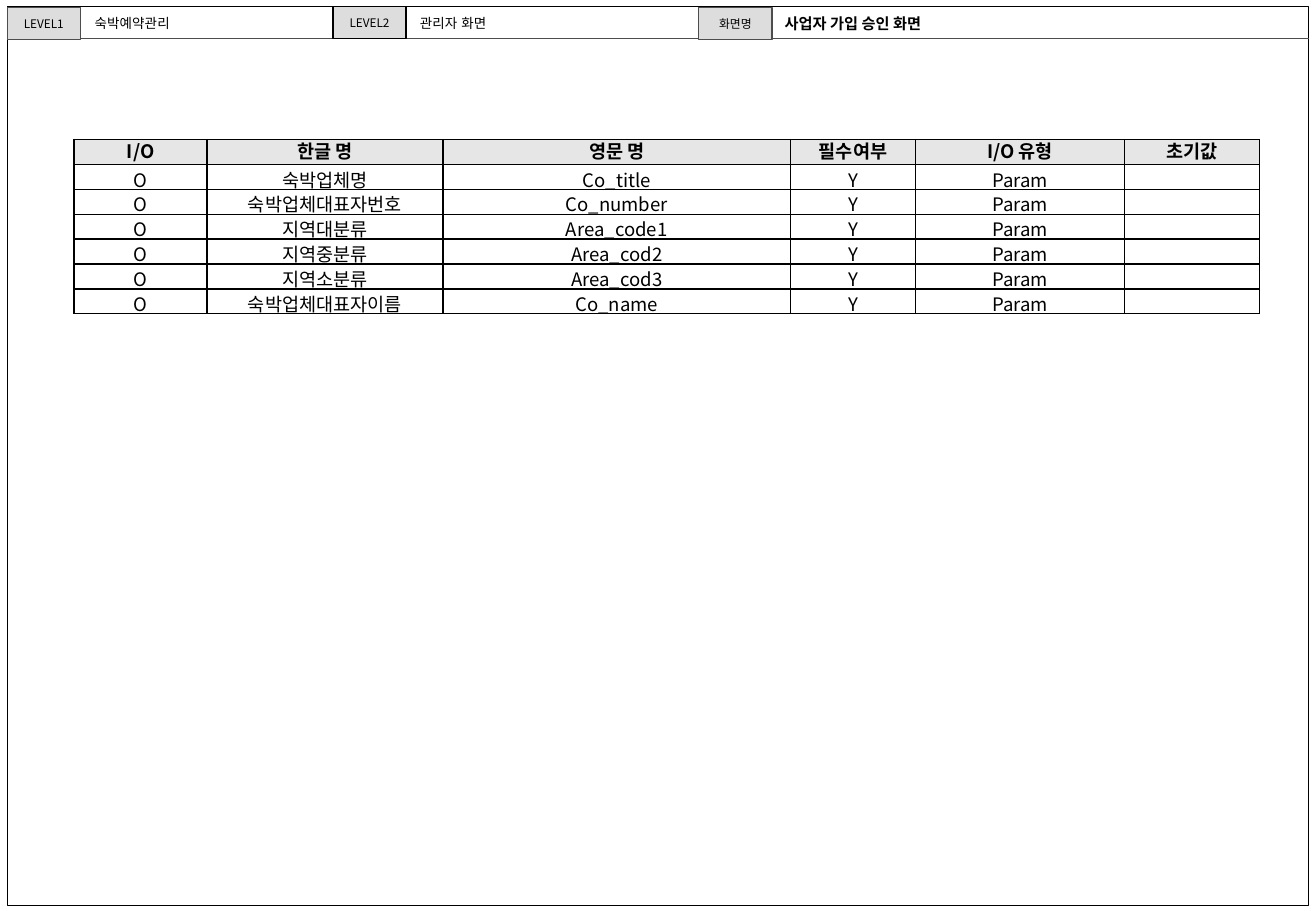
from lxml import etree
from pptx import Presentation
from pptx.dml.color import RGBColor
from pptx.enum.shapes import MSO_CONNECTOR, MSO_SHAPE
from pptx.enum.text import MSO_ANCHOR, MSO_AUTO_SIZE, PP_ALIGN
from pptx.oxml import parse_xml
from pptx.oxml.ns import nsdecls, qn
from pptx.util import Cm, Pt

BLACK = RGBColor(0x00, 0x00, 0x00)
DARK_GRAY = RGBColor(0x4D, 0x4D, 0x4D)
LABEL_GRAY = RGBColor(0xDD, 0xDD, 0xDD)
HEADER_GRAY = RGBColor(0xE6, 0xE6, 0xE6)
KOREAN_FONT = "Noto Sans CJK KR"


def write_text(frame, text, size, font=KOREAN_FONT, bold=False,
               align=PP_ALIGN.LEFT, line_spacing=None):
    """Fill the first paragraph, using one font for Latin and Korean letters."""
    paragraph = frame.paragraphs[0]
    paragraph.alignment = align
    paragraph.line_spacing = line_spacing
    run = paragraph.add_run()
    run.text = text
    run.font.name = font
    run.font.size = Pt(size)
    run.font.bold = bold
    run.font.color.rgb = BLACK
    korean = etree.SubElement(run.font._element, qn("a:ea"))
    korean.set("typeface", font)


def add_borders(cell):
    properties = cell._tc.get_or_add_tcPr()
    for index, side in enumerate(("lnL", "lnR", "lnT", "lnB")):
        properties.insert(index, parse_xml(
            f'<a:{side} {nsdecls("a")} w="{Pt(1)}"><a:solidFill>'
            f'<a:srgbClr val="{BLACK}"/></a:solidFill></a:{side}>'))


deck = Presentation()
deck.slide_width, deck.slide_height = Cm(27.51), Cm(19.05)
slide = deck.slides.add_slide(deck.slide_layouts[5])
shapes = slide.shapes

# Page frame and header line
page_frame = shapes.add_shape(MSO_SHAPE.RECTANGLE, Cm(0.15), Cm(0.13), Cm(27.2), Cm(18.8))
page_frame.shadow.inherit = False
page_frame.fill.background()
page_frame.line.color.rgb = BLACK
page_frame.line.width = Pt(0.75)

header_line = shapes.add_connector(
    MSO_CONNECTOR.STRAIGHT, Cm(0.18), Cm(0.81), Cm(27.36), Cm(0.81))
header_line.line.color.rgb = DARK_GRAY
header_line.line.width = Pt(0.75)
etree.SubElement(header_line._element.spPr, qn("a:effectLst"))

# Header labels
for label, left, top, outline in (
    ("LEVEL1", 0.15, 0.15, DARK_GRAY),
    ("화면명", 14.61, 0.15, DARK_GRAY),
    ("LEVEL2", 6.96, 0.13, BLACK),
):
    label_box = shapes.add_shape(MSO_SHAPE.RECTANGLE, Cm(left), Cm(top), Cm(1.53), Cm(0.68))
    label_box.shadow.inherit = False
    label_box.fill.solid()
    label_box.fill.fore_color.rgb = LABEL_GRAY
    label_box.line.color.rgb = outline
    label_box.line.width = Pt(0.75)
    label_box.text_frame.vertical_anchor = MSO_ANCHOR.MIDDLE
    write_text(label_box.text_frame, label, 7, align=PP_ALIGN.CENTER)

# Header values
for value, left, top in (("숙박예약관리", 1.73, 0.18), ("관리자 화면", 8.53, 0.2)):
    value_box = shapes.add_textbox(Cm(left), Cm(top), Cm(5.05), Cm(0.6))
    value_box.text_frame.word_wrap = True
    value_box.text_frame.auto_size = MSO_AUTO_SIZE.SHAPE_TO_FIT_TEXT
    write_text(value_box.text_frame, value, 8, font="Arial")

title = shapes.title
title.left, title.top, title.width, title.height = Cm(16.15), Cm(0.18), Cm(4.62), Cm(0.64)
title.text_frame.word_wrap = True
title.text_frame.auto_size = MSO_AUTO_SIZE.SHAPE_TO_FIT_TEXT
title.text_frame.vertical_anchor = MSO_ANCHOR.TOP
write_text(title.text_frame, "사업자 가입 승인 화면", 9, bold=True)

# Parameter table
column_names = ("I/O", "한글 명", "영문 명", "필수여부", "I/O 유형", "초기값")
column_widths = (2.78, 4.93, 7.27, 2.61, 4.37, 2.82)
fields = (
    ("숙박업체명", "Co_title"),
    ("숙박업체대표자번호", "Co_number"),
    ("지역대분류", "Area_code1"),
    ("지역중분류", "Area_cod2"),
    ("지역소분류", "Area_cod3"),
    ("숙박업체대표자이름", "Co_name"),
)
rows = [column_names] + [("O", korean, english, "Y", "Param", "") for korean, english in fields]
row_height = Cm(0.52)
parameters = shapes.add_table(
    len(rows), len(column_names), Cm(1.55), Cm(2.92),
    Cm(sum(column_widths)), row_height * len(rows)).table
for column, width in zip(parameters.columns, column_widths):
    column.width = Cm(width)

for row_index, values in enumerate(rows):
    parameters.rows[row_index].height = row_height
    is_header = row_index == 0
    for column_index, value in enumerate(values):
        cell = parameters.cell(row_index, column_index)
        cell.vertical_anchor = MSO_ANCHOR.MIDDLE
        cell.margin_left = cell.margin_right = Cm(0.18 if is_header else 0.03)
        cell.margin_top = Cm(0 if is_header else 0.02)
        cell.margin_bottom = 0
        if is_header:
            cell.fill.solid()
            cell.fill.fore_color.rgb = HEADER_GRAY
        else:
            cell.fill.background()
        add_borders(cell)
        if value:
            write_text(cell.text_frame, value, 11, bold=is_header, align=PP_ALIGN.CENTER,
                       line_spacing=Pt(14) if is_header else None)
        else:
            cell.text_frame.paragraphs[0].font.size = Pt(8)

deck.save("out.pptx")
